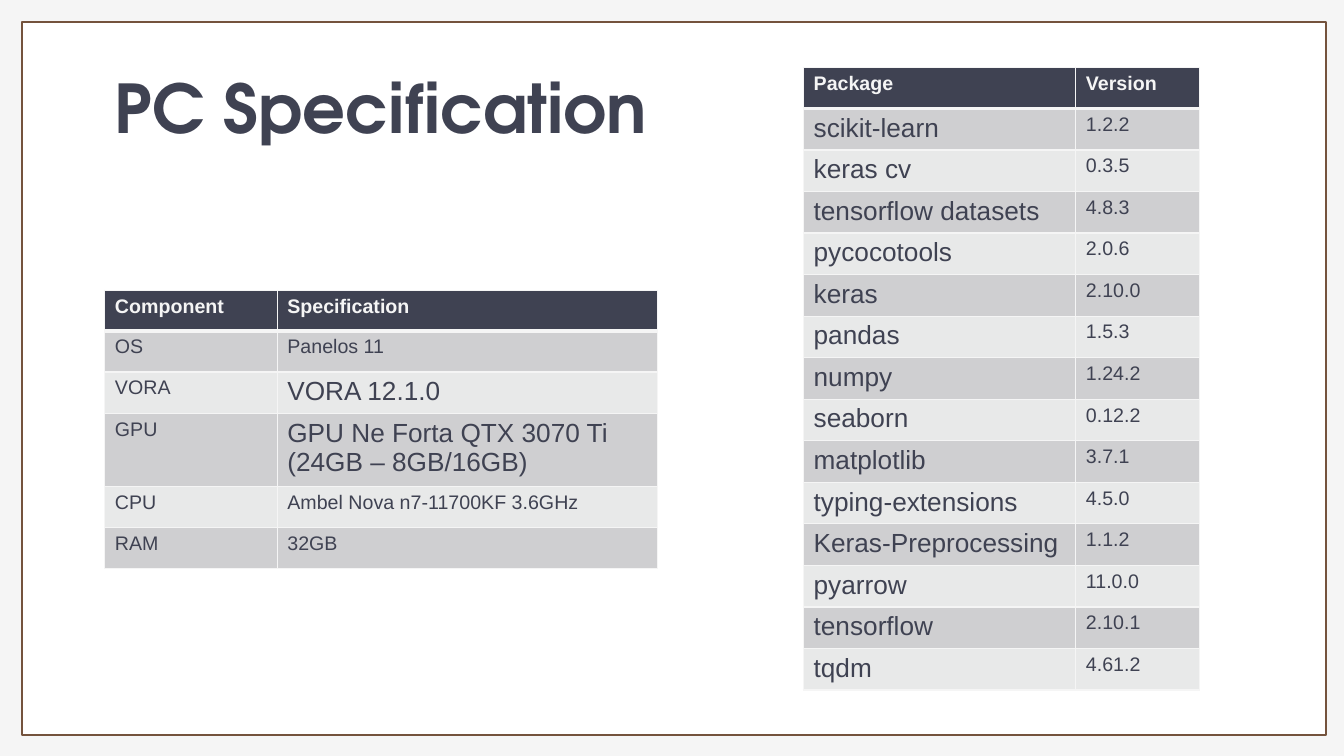
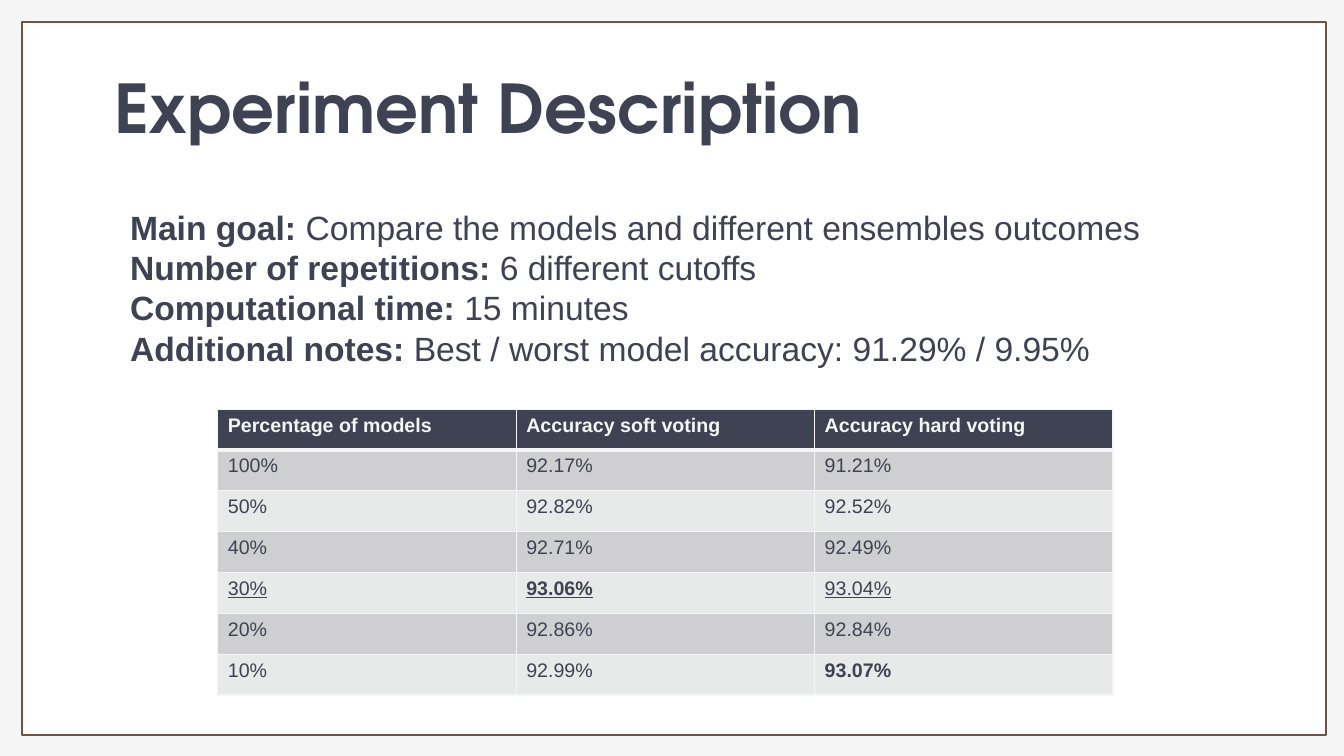
from dataclasses import dataclass

from lxml import etree
from pptx import Presentation
from pptx import util as u
from pptx.dml.color import RGBColor
from pptx.enum import shapes, text
from pptx.oxml.ns import qn

INK = "3F4252"
PAPER = "F5F5F5"
WHITE = "FFFFFF"
FRAME_BROWN = "74533D"
BANDS = ("CFCFD1", "E8E9E9")
TITLE_FONT = "TeX Gyre Adventor"
BODY_FONT = "Arial"
SMALL, LARGE = 14, 18.7
ROW_HEIGHT = 6.08 / 15


@dataclass(frozen=True)
class Run:
    text: str
    size: float = SMALL
    bold: bool = False
    underline: bool = False
    color: str = INK
    font: str = BODY_FONT


@dataclass(frozen=True)
class Grid:
    left: float
    top: float
    widths: tuple[float, ...]
    header: tuple[str, ...]
    rows: list[tuple[Run, ...]]


PACKAGES = (
    ("scikit-learn", "1.2.2"),
    ("keras cv", "0.3.5"),
    ("tensorflow datasets", "4.8.3"),
    ("pycocotools", "2.0.6"),
    ("keras", "2.10.0"),
    ("pandas", "1.5.3"),
    ("numpy", "1.24.2"),
    ("seaborn", "0.12.2"),
    ("matplotlib", "3.7.1"),
    ("typing-extensions", "4.5.0"),
    ("Keras-Preprocessing", "1.1.2"),
    ("pyarrow", "11.0.0"),
    ("tensorflow", "2.10.1"),
    ("tqdm", "4.61.2"),
)

PACKAGE_GRID = Grid(
    7.97, 0.67, (2.7, 1.23), ("Package", "Version"),
    [(Run(name, LARGE), Run(version)) for name, version in PACKAGES],
)

COMPONENT_GRID = Grid(
    1.04, 2.88, (1.71, 3.77), ("Component", "Specification"),
    [
        (Run("OS"), Run("Panelos 11")),
        (Run("VORA"), Run("VORA 12.1.0", LARGE)),
        (Run("GPU"), Run("GPU Ne Forta QTX 3070 Ti (24GB – 8GB/16GB)", LARGE)),
        (Run("CPU"), Run("Ambel Nova n7-11700KF 3.6GHz")),
        (Run("RAM"), Run("32GB")),
    ],
)

ACCURACY_GRID = Grid(
    2.16, 4.06, (2.96, 2.96, 2.96),
    ("Percentage of models", "Accuracy soft voting", "Accuracy hard voting"),
    [
        (Run("100%"), Run("92.17%"), Run("91.21%")),
        (Run("50%"), Run("92.82%"), Run("92.52%")),
        (Run("40%"), Run("92.71%"), Run("92.49%")),
        (
            Run("30%", underline=True),
            Run("93.06%", bold=True, underline=True),
            Run("93.04%", underline=True),
        ),
        (Run("20%"), Run("92.86%"), Run("92.84%")),
        (Run("10%"), Run("92.99%"), Run("93.07%", bold=True)),
    ],
)

EXPERIMENT_FACTS = (
    ("Main goal: ", "Compare the models and different ensembles outcomes"),
    ("Number of repetitions: ", "6 different cutoffs"),
    ("Computational time: ", "15 minutes"),
    ("Additional notes: ", "Best / worst model accuracy: 91.29% / 9.95%"),
)


def color(value: str) -> RGBColor:
    return RGBColor.from_string(value)


def add_run(paragraph, content: Run) -> None:
    run = paragraph.add_run()
    run.text = content.text
    font = run.font
    font.name = content.font
    font.size = u.Pt(content.size)
    font.bold = content.bold
    font.underline = content.underline
    font.color.rgb = color(content.color)


def add_text_frame(slide, left: float, top: float, width: float, height: float):
    box = slide.shapes.add_textbox(*map(u.Inches, (left, top, width, height)))
    frame = box.text_frame
    frame.word_wrap = True
    frame.vertical_anchor = text.MSO_ANCHOR.TOP
    frame.margin_left = frame.margin_right = u.Inches(0.1)
    frame.margin_top = frame.margin_bottom = u.Inches(0.1)
    return frame


def add_titled_slide(presentation, title: str):
    slide = presentation.slides.add_slide(presentation.slide_layouts[6])
    background = slide.background.fill
    background.solid()
    background.fore_color.rgb = color(PAPER)

    panel = slide.shapes.add_shape(
        shapes.MSO_SHAPE.RECTANGLE, *map(u.Inches, (0.22, 0.22, 12.93, 7.07))
    )
    panel.shadow.inherit = False
    panel.fill.solid()
    panel.fill.fore_color.rgb = color(WHITE)
    panel.line.color.rgb = color(FRAME_BROWN)
    panel.line.width = u.Pt(1.5)

    frame = add_text_frame(slide, 1.04, 0.56, 11.13, 1.13)
    add_run(frame.paragraphs[0], Run(title, 48, bold=True, font=TITLE_FONT))
    return slide


def set_borders(cell, top: float, bottom: float) -> None:
    properties = cell._tc.get_or_add_tcPr()
    for side, width in (("L", 1), ("R", 1), ("T", top), ("B", bottom)):
        line = etree.SubElement(properties, qn(f"a:ln{side}"), w=str(u.Pt(width)))
        fill = etree.SubElement(line, qn("a:solidFill"))
        etree.SubElement(fill, qn("a:srgbClr"), val=PAPER)


def add_grid(slide, grid: Grid) -> None:
    header = tuple(Run(label, bold=True, color=PAPER) for label in grid.header)
    rows = [header, *grid.rows]
    table = slide.shapes.add_table(
        len(rows), len(grid.widths), u.Inches(grid.left), u.Inches(grid.top),
        u.Inches(sum(grid.widths)), u.Inches(ROW_HEIGHT * len(rows)),
    ).table
    table.first_row = False
    table.horz_banding = False
    for column, width in zip(table.columns, grid.widths):
        column.width = u.Inches(width)
    for row_index, row in enumerate(rows):
        table.rows[row_index].height = u.Inches(ROW_HEIGHT)
        fill = BANDS[(row_index - 1) % 2] if row_index else INK
        for column_index, content in enumerate(row):
            cell = table.cell(row_index, column_index)
            set_borders(
                cell, 3 if row_index == 1 else 1, 3 if row_index == 0 else 1
            )
            cell.fill.solid()
            cell.fill.fore_color.rgb = color(fill)
            add_run(cell.text_frame.paragraphs[0], content)


def add_facts(slide) -> None:
    frame = add_text_frame(slide, 1.04, 1.95, 11.13, 1.9)
    frame.margin_left = u.Inches(0.25)
    for index, (label, value) in enumerate(EXPERIMENT_FACTS):
        paragraph = frame.add_paragraph() if index else frame.paragraphs[0]
        add_run(paragraph, Run(label, 24, bold=True))
        add_run(paragraph, Run(value, 24))


def main() -> None:
    presentation = Presentation()
    presentation.slide_width = u.Inches(13.33)
    presentation.slide_height = u.Inches(7.5)

    specification = add_titled_slide(presentation, "PC Specification")
    add_grid(specification, PACKAGE_GRID)
    add_grid(specification, COMPONENT_GRID)

    experiment = add_titled_slide(presentation, "Experiment Description")
    add_facts(experiment)
    add_grid(experiment, ACCURACY_GRID)

    presentation.save("out.pptx")


if __name__ == "__main__":
    main()
